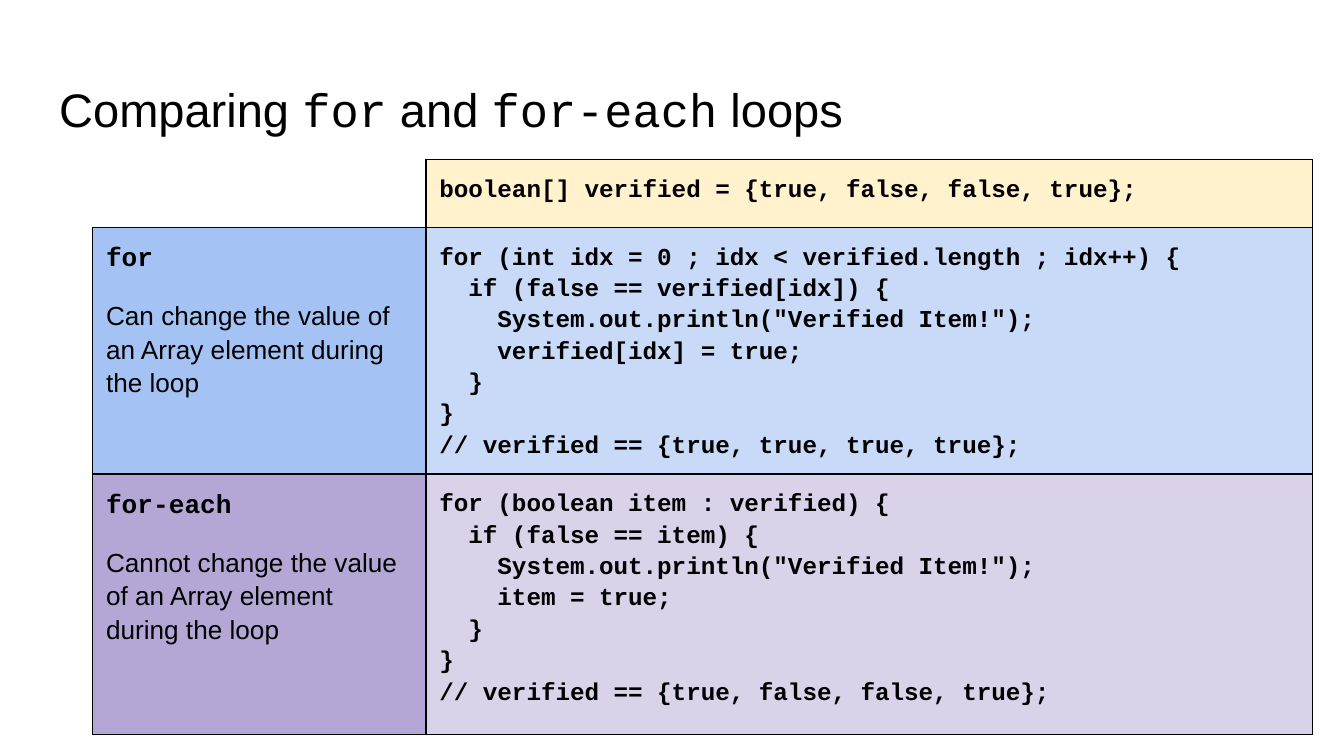
import copy

import pptx
import pptx.dml.color
import pptx.enum.text
import pptx.oxml
import pptx.oxml.ns
import pptx.util

Pt = pptx.util.Pt
Color = pptx.dml.color.RGBColor.from_string
qn = pptx.oxml.ns.qn

theme = {
    "ink": "000000", "header": "FFF2CC",
    "for": "A4C2F4", "for code": "C9DAF8",
    "each": "B4A7D6", "each code": "D9D2E9",
    "prose font": "Arial", "code font": "Courier New",
    "title size": 25.2, "label size": 14, "code size": 13,
}
prose = {"name": theme["prose font"], "size": Pt(theme["label size"]), "bold": False}
label = {"name": theme["code font"], "size": Pt(theme["label size"]), "bold": True}
code = {"name": theme["code font"], "size": Pt(theme["code size"]), "bold": True}
margins = {"margin_" + side: Pt(7.2) for side in ("left", "top", "right", "bottom")}


def apply(target, values):
    for name, value in values.items():
        setattr(target, name, value)


def add_borders(cell, sides):
    properties = cell._tc.get_or_add_tcPr()
    for side in "LRTB":
        paint = f'<a:solidFill><a:srgbClr val="{theme["ink"]}"/></a:solidFill>'
        properties.append(pptx.oxml.parse_xml(
            f'<a:ln{side} xmlns:a="http://schemas.openxmlformats.org/drawingml/2006/main" '
            f'w="{Pt(0.75)}">{paint if side in sides else "<a:noFill/>"}</a:ln{side}>'))


deck = pptx.Presentation()
apply(deck, {"slide_width": Pt(720), "slide_height": Pt(405)})
page = deck.slides.add_slide(deck.slide_layouts[5])

title = page.shapes.title
apply(title, {"left": Pt(24.5), "top": Pt(35.3), "width": Pt(671), "height": Pt(45.4)})
apply(title.text_frame, margins | {
    "word_wrap": True,
    "auto_size": pptx.enum.text.MSO_AUTO_SIZE.NONE,
    "vertical_anchor": pptx.enum.text.MSO_ANCHOR.MIDDLE,
})
para = title.text_frame.paragraphs[0]
para.alignment = pptx.enum.text.PP_ALIGN.LEFT
for text, font in (
    ("Comparing ", "prose font"), ("for", "code font"), (" and ", "prose font"),
    ("for-each", "code font"), (" loops", "prose font"),
):
    span = para.add_run()
    span.text = text
    apply(span.font, {"name": theme[font], "size": Pt(theme["title size"]), "bold": False})
    span.font.color.rgb = Color(theme["ink"])

for_code = """for (int idx = 0 ; idx < verified.length ; idx++) {
  if (false == verified[idx]) {
    System.out.println("Verified Item!");
    verified[idx] = true;
  }
}
// verified == {true, true, true, true};"""
each_code = """for (boolean item : verified) {
  if (false == item) {
    System.out.println("Verified Item!");
    item = true;
  }
}
// verified == {true, false, false, true};"""

rows = [
    [(None, []),
     ("header", [("boolean[] verified = {true, false, false, true};", code)])],
    [("for", [("for", label),
              ("Can change the value of an Array element during the loop", prose)]),
     ("for code", [(for_code, code)])],
    [("each", [("for-each", label),
               ("Cannot change the value of an Array element during the loop", prose)]),
     ("each code", [(each_code, code)])],
]

column_widths = [178.6, 475]
row_heights = [34.6, 132.2, 139.4]
table = page.shapes.add_table(
    len(rows), len(column_widths), Pt(49.6), Pt(85.4),
    Pt(sum(column_widths)), Pt(sum(row_heights))).table
apply(table, {"first_row": False, "horz_banding": False})
for column, width in zip(table.columns, column_widths):
    column.width = Pt(width)
for row, height in zip(table.rows, row_heights):
    row.height = Pt(height)

for row, contents in zip(table.rows, rows):
    for cell, (fill, paragraphs) in zip(row.cells, contents):
        apply(cell, margins)
        add_borders(cell, "LRTB" if fill else "RB")
        if not fill:
            cell.fill.background()
            continue
        cell.fill.solid()
        cell.fill.fore_color.rgb = Color(theme[fill])
        for index, (text, font) in enumerate(paragraphs):
            para = cell.text_frame.add_paragraph() if index else cell.text_frame.paragraphs[0]
            para.text = text.replace("\n", "\v")
            last = index == len(paragraphs) - 1
            apply(para, {
                "line_spacing": 1.15,
                "space_before": Pt(12 if index else 0),
                "space_after": Pt(12 if last else 0),
            })
            for span in para.runs:
                apply(span.font, font)
                span.font.color.rgb = Color(theme["ink"])
            for line_break in para._p.findall(qn("a:br")):
                line_break.append(copy.deepcopy(para.runs[0]._r.rPr))

deck.save("out.pptx")
